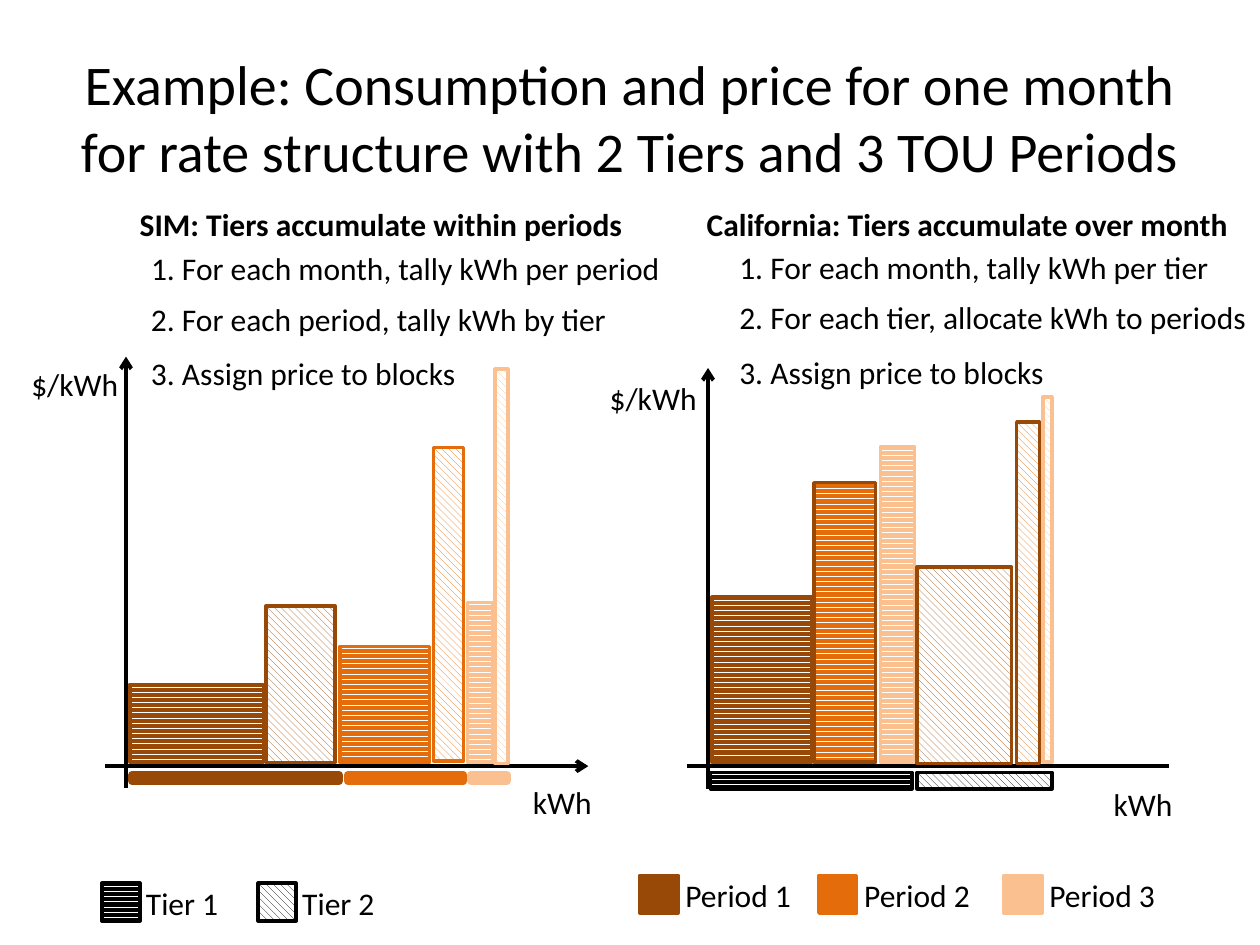
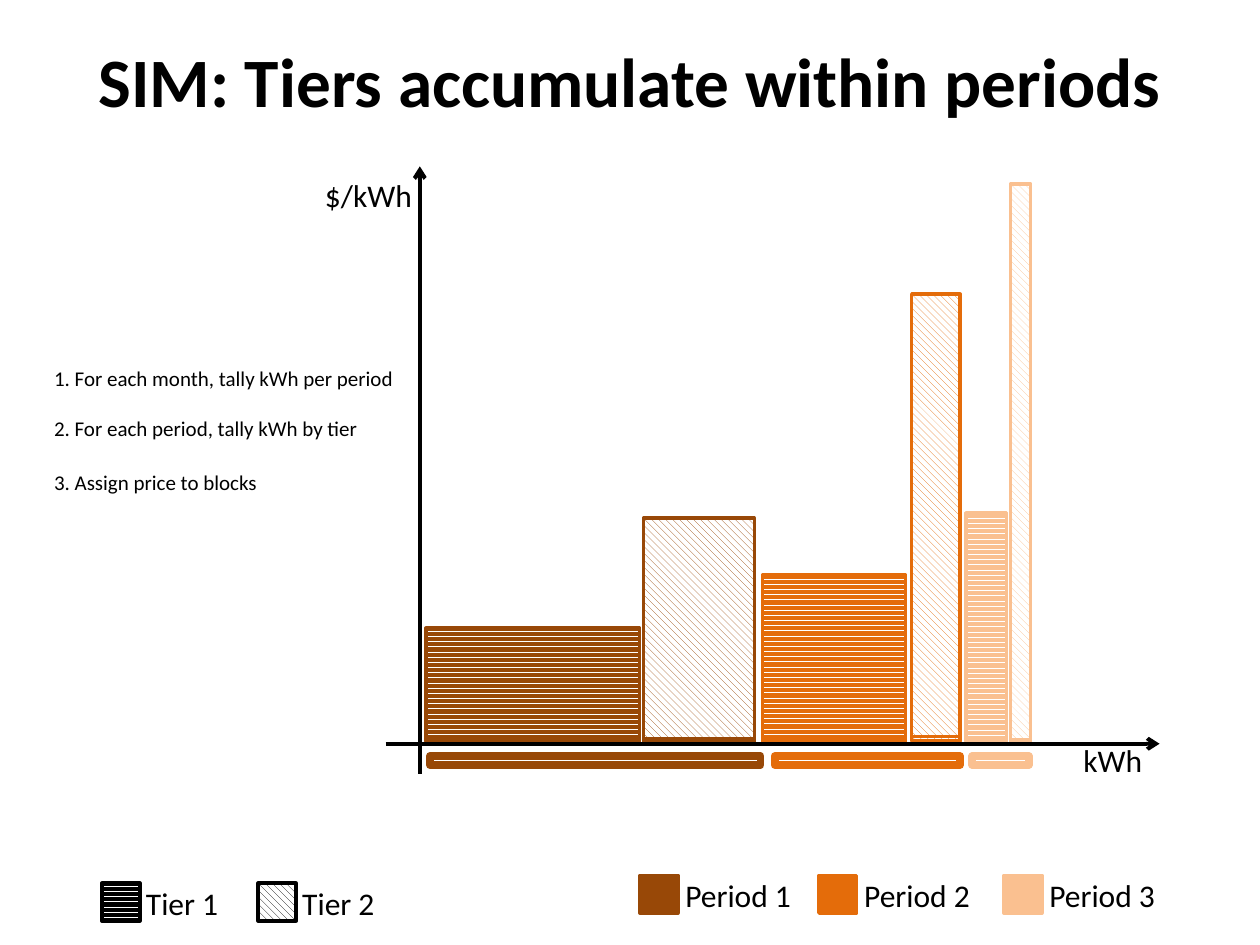
from dataclasses import dataclass

from lxml import etree
from pptx import Presentation
from pptx.dml.color import RGBColor
from pptx.enum.dml import MSO_PATTERN
from pptx.enum.shapes import MSO_CONNECTOR, MSO_SHAPE
from pptx.enum.text import MSO_ANCHOR, MSO_AUTO_SIZE, PP_ALIGN
from pptx.oxml.ns import qn
from pptx.util import Pt

RECT = MSO_SHAPE.RECTANGLE
STRAIGHT = MSO_CONNECTOR.STRAIGHT
TOP, MIDDLE = MSO_ANCHOR.TOP, MSO_ANCHOR.MIDDLE
CENTER = PP_ALIGN.CENTER
NO_FIT, GROW = MSO_AUTO_SIZE.NONE, MSO_AUTO_SIZE.SHAPE_TO_FIT_TEXT

FONT = "Calibri"
COLORS = {"ink": "000000", "paper": "FFFFFF",
          "Period 1": "984807", "Period 2": "E46C0A", "Period 3": "FAC090"}
PATTERNS = {"Tier 1": MSO_PATTERN.DARK_HORIZONTAL,
            "Tier 2": MSO_PATTERN.WIDE_DOWNWARD_DIAGONAL}
SWATCH = 21.6

SIM_HEADING = "SIM: Tiers accumulate within periods"
SIM_STEPS = ["1. For each month, tally kWh per period",
             "2. For each period, tally kWh by tier",
             "3. Assign price to blocks"]
CALIFORNIA_STEPS = ["1. For each month, tally kWh per tier",
                    "2. For each tier, allocate kWh to periods",
                    "3. Assign price to blocks"]

# Blocks: period, tier, outline, left of block from the price axis, width,
# top of block above the kWh axis, height
SIM_BLOCKS = [
    ("Period 1", "Tier 1", "Period 1", 2.2, 76.3, 46.8, 44.6),
    ("Period 1", "Tier 2", "Period 1", 79.9, 39.6, 91.4, 89.3),
    ("Period 2", "Tier 1", "Period 2", 122.4, 51.1, 68.4, 66.2),
    ("Period 2", "Tier 2", "Period 2", 175.7, 17.3, 182.2, 179.3),
    ("Period 3", "Tier 1", "Period 3", 195.1, 14.4, 93.6, 91.4),
    ("Period 3", "Tier 2", "Period 3", 211, 7.2, 226.8, 225.4),
]
CALIFORNIA_BLOCKS = [
    ("Period 1", "Tier 1", "Period 1", 2.2, 56.9, 96.5, 94.3),
    ("Period 2", "Tier 1", "Period 1", 60.5, 35.3, 162, 159.8),
    ("Period 3", "Tier 1", "Period 3", 98.6, 19.4, 182.2, 180),
    ("Period 1", "Tier 2", "Period 1", 119.5, 54, 113.8, 112.3),
    ("Period 2", "Tier 2", "Period 1", 176.4, 13, 196.6, 195.1),
    ("Period 3", "Tier 2", "Period 3", 191.5, 5, 211, 208.8),
]
PERIOD_TOTALS = [("Period 1", 3.6, 118.1), ("Period 2", 126.7, 66.2),
                 ("Period 3", 197.3, 20.2)]
TIER_TOTALS = [("Tier 1", 1.4, 115.2), ("Tier 2", 119.5, 77)]


@dataclass
class Frame:
    """Axis crossing and scale of one diagram."""
    x: float
    y: float
    sx: float = 1
    sy: float = 1

    def point(self, dx, up):
        return self.x + dx * self.sx, self.y - up * self.sy

    def box(self, dx, up, w, h):
        return (*self.point(dx, up), w * self.sx, h * self.sy)


def rgb(name):
    return RGBColor.from_string(COLORS[name])


def format_runs(tf, size, bold):
    for p in tf.paragraphs:
        for r in p.runs:
            r.font.name, r.font.size, r.font.bold = FONT, Pt(size), bold
            r.font.color.rgb = rgb("ink")


def add_title(slide, text, size, bold=False, anchor=MIDDLE):
    sp = slide.shapes.title
    sp.left, sp.top, sp.width, sp.height = Pt(36), Pt(21.6), Pt(648), Pt(90)
    tf = sp.text_frame
    tf.text = text
    tf.auto_size, tf.vertical_anchor = NO_FIT, anchor
    tf.margin_top = tf.margin_bottom = 0
    tf.paragraphs[0].alignment = CENTER
    format_runs(tf, size, bold)


def add_label(slide, text, x, y, w, size=18, bold=False):
    sp = slide.shapes.add_textbox(Pt(x), Pt(y), Pt(w), Pt(size * 1.2 + 7.2))
    tf = sp.text_frame
    tf.text = text
    tf.word_wrap, tf.auto_size = False, GROW
    format_runs(tf, size, bold)


def add_box(shapes, box, line, fill=None, tier=None, weight=2):
    """Rectangle that is hatched for a tier, else solid or unfilled."""
    sp = shapes.add_shape(RECT, *(Pt(v) for v in box))
    sp.shadow.inherit = False
    sp.line.color.rgb, sp.line.width = rgb(line), Pt(weight)
    if tier:
        sp.fill.patterned()
        sp.fill.pattern = PATTERNS[tier]
        sp.fill.fore_color.rgb = rgb(fill)
        sp.fill.back_color.rgb = rgb("paper")
    elif fill:
        sp.fill.solid()
        sp.fill.fore_color.rgb = rgb(fill)
    else:
        sp.fill.background()


def add_axis(slide, start, end, weight=2.25, arrow=True):
    s = slide.shapes.add_connector(STRAIGHT, *(Pt(v) for v in (*start, *end)))
    s.line.color.rgb, s.line.width = rgb("ink"), Pt(weight)
    if arrow:
        etree.SubElement(s.line._get_or_add_ln(), qn("a:tailEnd"), type="arrow")
    etree.SubElement(s._element.spPr, qn("a:effectLst"))


def add_blocks(shapes, frame, blocks):
    for period, tier, outline, dx, w, up, h in blocks:
        add_box(shapes, frame.box(dx, up, w, h), outline, period, tier)


def add_sim_diagram(slide, frame):
    add_axis(slide, frame.point(0, -12.2), frame.point(0, 234))
    add_axis(slide, frame.point(-12.2, 0), frame.point(264.2, 0))
    for period, dx, w in PERIOD_TOTALS:
        add_box(slide.shapes, frame.box(dx, -5, w, 3.6), period, weight=4.5)
    add_blocks(slide.shapes.add_group_shape().shapes, frame, SIM_BLOCKS)


def add_california_diagram(slide, frame):
    add_axis(slide, frame.point(0, -13), frame.point(0, 227.5))
    add_axis(slide, frame.point(-12.2, 0), frame.point(263.5, 0), 2, False)
    add_blocks(slide.shapes, frame, CALIFORNIA_BLOCKS)
    for tier, dx, w in TIER_TOTALS:
        add_box(slide.shapes, frame.box(dx, -3.6, w, 9.4), "ink", "ink", tier)


def add_axis_names(slide, price_at, energy_at):
    add_label(slide, "$/kWh", *price_at, 64.8)
    add_label(slide, "kWh", *energy_at, 48.2)


def add_steps(slide, steps, x, y, widths, size=18):
    for text, dy, w in zip(steps, (0, 28.8, 59.8), widths):
        add_label(slide, text, x, y + dy, w, size)


def add_legend(slide):
    for tier, x in (("Tier 1", 58.3), ("Tier 2", 147.6)):
        add_box(slide.shapes, (x, 504.7, SWATCH, SWATCH), "ink", "ink", tier)
        add_label(slide, tier, x + 18, 501.4, 56.2)
    for period, x in (("Period 1", 365.8), ("Period 2", 468), ("Period 3", 573.8)):
        add_box(slide.shapes, (x, 500.2, SWATCH, SWATCH), period, period)
        add_label(slide, period, x + 18.7, 497.2, 75.6)


def build_comparison(slide):
    add_title(slide, "Example: Consumption and price for one month "
                     "for rate structure with 2 Tiers and 3 TOU Periods", 32)
    add_sim_diagram(slide, Frame(72, 437.8))
    add_axis_names(slide, (10.8, 205.2), (297.4, 444.2))
    add_california_diagram(slide, Frame(404.6, 437.8))
    add_axis_names(slide, (341.3, 213.1), (629.3, 445))
    add_legend(slide)
    add_label(slide, SIM_HEADING, 72.7, 113.8, 298.8, bold=True)
    add_label(slide, "California: Tiers accumulate over month",
              396.7, 113.8, 314.6, bold=True)
    add_steps(slide, SIM_STEPS, 79.2, 139, (310.3, 277.9, 190.1))
    add_steps(slide, CALIFORNIA_STEPS, 415.4, 138.2, (295.2, 313.9, 190.1))


def build_sim_detail(slide):
    frame = Frame(239.9, 425, 1.6, 1.41)
    add_title(slide, SIM_HEADING, 39.6, bold=True, anchor=TOP)
    feet = [(*block[:5], 17, 16) for block in SIM_BLOCKS]
    add_blocks(slide.shapes.add_group_shape().shapes, frame, feet)
    add_sim_diagram(slide, frame)
    add_axis_names(slide, (178.6, 97.2), (612, 419.8))
    add_legend(slide)
    add_steps(slide, SIM_STEPS, 23.8, 205.2, (210.2, 189.4, 131.8), 12)


def main():
    prs = Presentation()
    prs.slide_width, prs.slide_height = Pt(720), Pt(540)
    for build in (build_comparison, build_sim_detail):
        build(prs.slides.add_slide(prs.slide_layouts[5]))
    prs.save("out.pptx")


if __name__ == "__main__":
    main()
